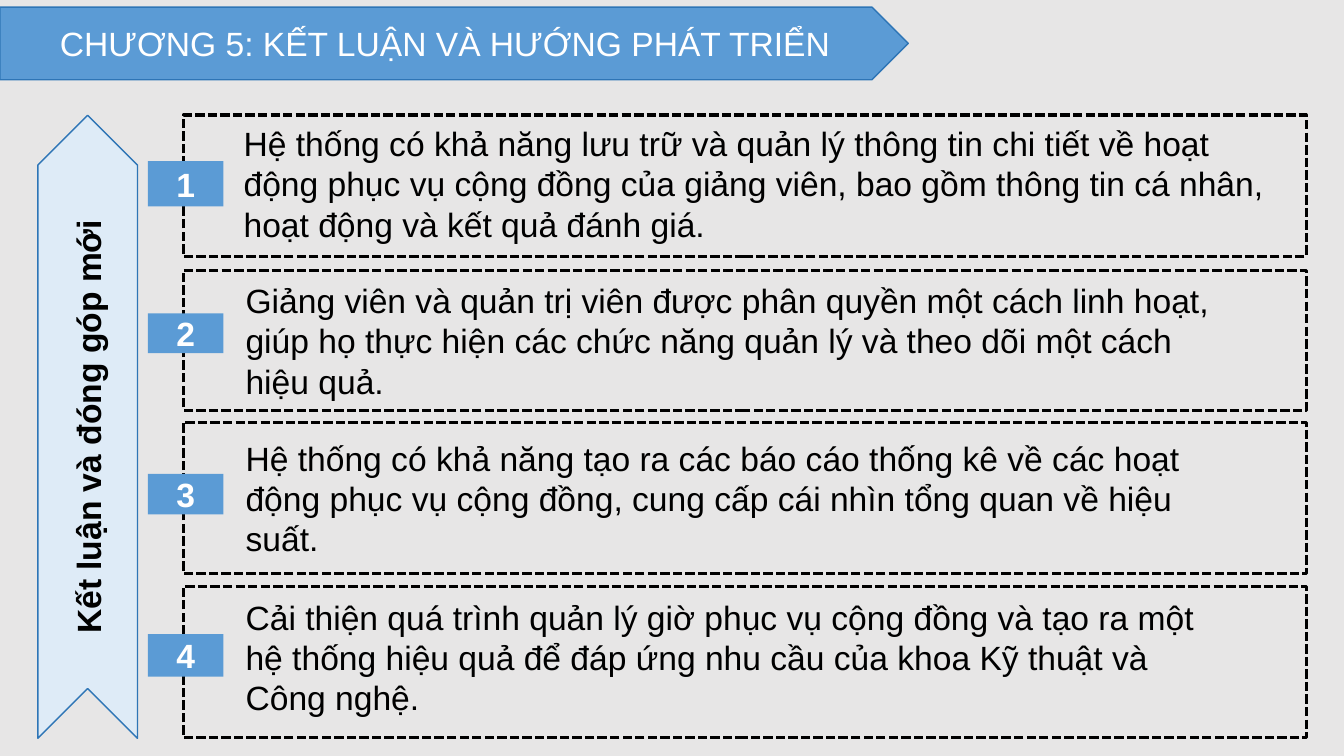
import pptx
import pptx.util
import pptx.dml.color
import pptx.enum.dml
import pptx.enum.shapes
import pptx.enum.text

Cm, Pt = pptx.util.Cm, pptx.util.Pt
KIND = pptx.enum.shapes.MSO_SHAPE
ALIGN = pptx.enum.text.PP_ALIGN
ANCHOR = pptx.enum.text.MSO_ANCHOR

COLORS = {
    "page": "E7E6E6",
    "blue": "5B9BD5",
    "edge": "2E75B6",
    "pale": "DEEBF7",
    "black": "000000",
    "white": "FFFFFF",
}
TITLE = "CHƯƠNG 5: KẾT LUẬN VÀ HƯỚNG PHÁT TRIỂN"
SIDE = "Kết luận và đóng góp mới"
POINTS = [
    {
        "text": "Hệ thống có khả năng lưu trữ và quản lý thông tin chi tiết về hoạt động phục vụ cộng đồng của giảng viên, bao gồm thông tin cá nhân, hoạt động và kết quả đánh giá.",
        "frame": (2.9, 3.56),
        "badge": (4.06, 1.14),
        "body": (5.89, 2.97, 26.26, 3.51),
    },
    {
        "text": "Giảng viên và quản trị viên được phân quyền một cách linh hoạt, giúp họ thực hiện các chức năng quản lý và theo dõi một cách hiệu quả.",
        "frame": (6.81, 3.53),
        "badge": (7.9, 1),
        "body": (5.94, 6.93, 24.79, 3.25),
    },
    {
        "text": "Hệ thống có khả năng tạo ra các báo cáo thống kê về các hoạt động phục vụ cộng đồng, cung cấp cái nhìn tổng quan về hiệu suất.",
        "frame": (10.64, 3.81),
        "badge": (11.94, 1.02),
        "body": (5.94, 10.9, 24.79, 3.33),
    },
    {
        "text": "Cải thiện quá trình quản lý giờ phục vụ cộng đồng và tạo ra một hệ thống hiệu quả để đáp ứng nhu cầu của khoa Kỹ thuật và Công nghệ.",
        "frame": (14.78, 3.81),
        "badge": (15.98, 1.07),
        "body": (5.94, 14.91, 24.79, 3.33),
    },
]
FRAME_X, FRAME_W = 4.62, 28.3
BADGE_X, BADGE_W = 3.73, 1.9


def rgb(name):
    return pptx.dml.color.RGBColor.from_string(COLORS[name])


def write(shape, text, color, bold=False, align=ALIGN.CENTER, anchor=ANCHOR.MIDDLE):
    frame = shape.text_frame
    frame.text = text
    frame.word_wrap = True
    frame.vertical_anchor = anchor
    para = frame.paragraphs[0]
    para.alignment = align
    font = para.runs[0].font
    font.name, font.size, font.bold = "Arial", Pt(24), bold
    font.color.rgb = rgb(color)


def draw(shapes, kind, box, fill=None, line=None, width=1):
    shape = shapes.add_shape(kind, *map(Cm, box))
    shape.shadow.inherit = False
    if fill:
        shape.fill.solid()
        shape.fill.fore_color.rgb = rgb(fill)
    else:
        shape.fill.background()
    if line:
        shape.line.color.rgb = rgb(line)
        shape.line.width = Pt(width)
    else:
        shape.line.fill.background()
    return shape


def add_point(slide, number, point):
    shapes = slide.shapes.add_group_shape().shapes
    top, high = point["frame"]
    frame = draw(shapes, KIND.RECTANGLE, (FRAME_X, top, FRAME_W, high), line="black", width=2.25)
    frame.line.dash_style = pptx.enum.dml.MSO_LINE.SQUARE_DOT
    top, high = point["badge"]
    badge = draw(shapes, KIND.ROUNDED_RECTANGLE, (BADGE_X, top, BADGE_W, high), "blue")
    badge.adjustments[0] = 0
    write(badge, str(number), "white", bold=True)
    body = shapes.add_textbox(*map(Cm, point["body"]))
    write(body, point["text"], "black", align=ALIGN.LEFT, anchor=ANCHOR.TOP)


def main():
    """Build the conclusions slide."""
    deck = pptx.Presentation()
    deck.slide_width, deck.slide_height = Cm(33.87), Cm(19.05)
    slide = deck.slides.add_slide(deck.slide_layouts[6])
    slide.background.fill.solid()
    slide.background.fill.fore_color.rgb = rgb("page")

    side = draw(slide.shapes, KIND.CHEVRON, (-5.64, 9.5, 15.7, 2.51), "pale", "edge")
    side.rotation = 270
    write(side, SIDE, "black", bold=True)
    for number, point in enumerate(POINTS, 1):
        add_point(slide, number, point)
    title = draw(slide.shapes, KIND.PENTAGON, (0, 0.18, 22.89, 1.83), "blue", "edge")
    write(title, TITLE, "white")
    deck.save("out.pptx")


if __name__ == "__main__":
    main()
